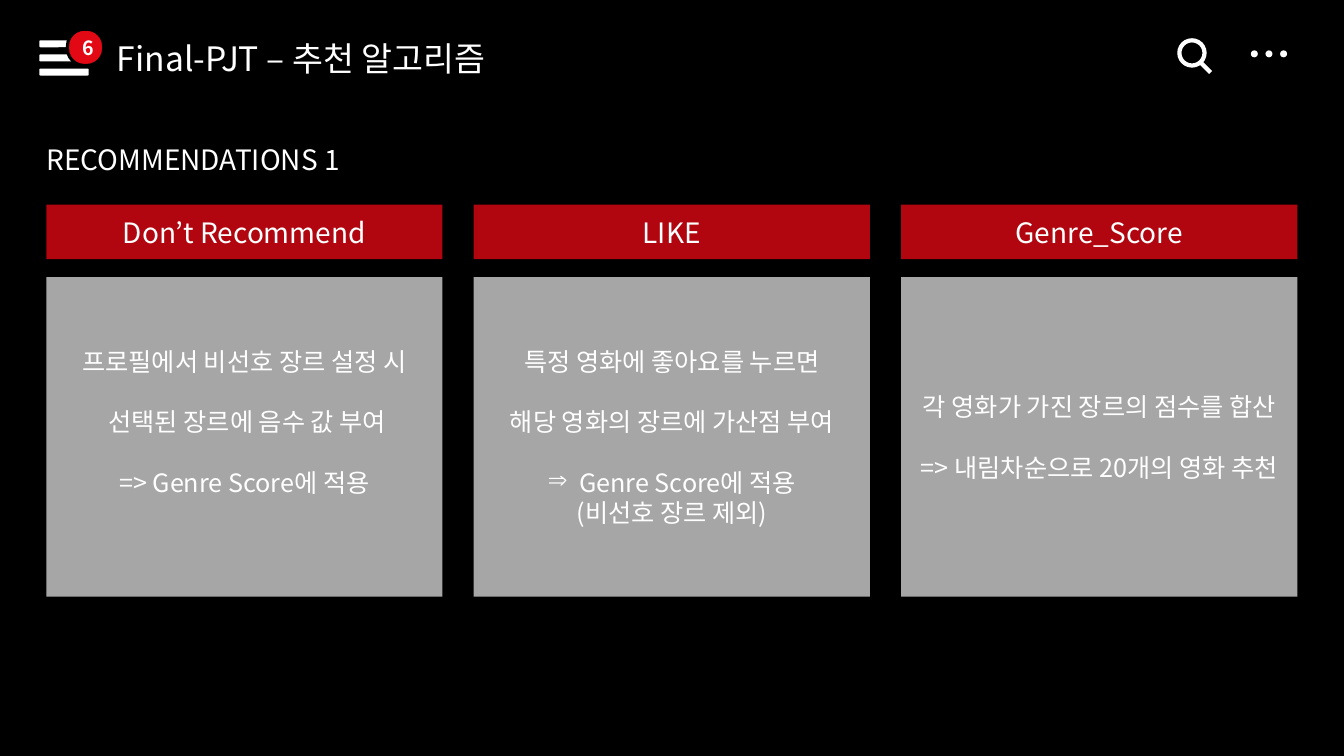
from dataclasses import dataclass

from lxml import etree
from pptx import Presentation
from pptx.dml.color import RGBColor
from pptx.enum.shapes import MSO_CONNECTOR, MSO_SHAPE
from pptx.enum.text import MSO_ANCHOR, PP_ALIGN
from pptx.oxml.ns import qn
from pptx.util import Pt

RECT = MSO_SHAPE.RECTANGLE
ROUND = MSO_SHAPE.ROUNDED_RECTANGLE
OVAL = MSO_SHAPE.OVAL
LINE = MSO_CONNECTOR.STRAIGHT
LEFT = PP_ALIGN.LEFT
CENTER = PP_ALIGN.CENTER
TOP = MSO_ANCHOR.TOP
MIDDLE = MSO_ANCHOR.MIDDLE

FONT = "Noto Sans CJK KR"
WHITE = "FFFFFF"
BLACK = "000000"
RED = "B1060F"
BADGE = "E30914"
GRAY = "A6A6A6"


@dataclass(frozen=True)
class Row:
    text: str
    gap: float = 0
    bullet: str = ""


@dataclass(frozen=True)
class Card:
    title: str
    rows: tuple[Row, ...]
    foot: float = 3.6


GAP = 21.6
INDENT = 22.5
CARDS = (
    Card("Don’t Recommend", (
        Row("프로필에서 비선호 장르 설정 시"),
        Row(" 선택된 장르에 음수 값 부여", GAP),
        Row("=> Genre Score에 적용", GAP),
    ), foot=25.2),
    Card("LIKE", (
        Row("특정 영화에 좋아요를 누르면"),
        Row("해당 영화의 장르에 가산점 부여", GAP),
        Row("Genre Score에 적용", GAP, "⇒"),
        Row("(비선호 장르 제외)"),
    )),
    Card("Genre_Score", (
        Row("각 영화가 가진 장르의 점수를 합산"),
        Row("=> 내림차순으로 20개의 영화 추천", GAP),
    )),
)


def paint(color, code: str) -> None:
    color.rgb = RGBColor.from_string(code)


def write(shape, *rows: Row, size: float, bold: bool = False, align=CENTER,
          anchor=MIDDLE, left: float = 7.2, foot: float = 3.6) -> None:
    frame = shape.text_frame
    frame.word_wrap = True
    frame.vertical_anchor = anchor
    frame.margin_left, frame.margin_bottom = Pt(left), Pt(foot)
    for i, row in enumerate(rows):
        para = frame.add_paragraph() if i else frame.paragraphs[0]
        para.alignment = align
        para.space_before = Pt(row.gap)
        if row.bullet:
            props = para._p.get_or_add_pPr()
            props.set("marL", str(Pt(INDENT)))
            props.set("indent", str(Pt(-INDENT)))
            etree.SubElement(props, qn("a:buChar")).set("char", row.bullet)
        run = para.add_run()
        run.text = row.text
        run.font.size = Pt(size)
        run.font.bold = bold
        run.font.name = FONT
        paint(run.font.color, WHITE)
        east = etree.SubElement(run._r.get_or_add_rPr(), qn("a:ea"))
        east.set("typeface", FONT)


def draw(slide, kind, x: float, y: float, w: float, h: float,
         fill: str = "", line: str = "", width: float = 0):
    shape = slide.shapes.add_shape(kind, Pt(x), Pt(y), Pt(w), Pt(h))
    shape.shadow.inherit = False
    if fill:
        shape.fill.solid()
        paint(shape.fill.fore_color, fill)
    else:
        shape.fill.background()
    if line:
        paint(shape.line.color, line)
        shape.line.width = Pt(width)
    else:
        shape.line.fill.background()
    return shape


def label(slide, text: str, x: float, y: float, w: float, h: float,
          size: float) -> None:
    box = slide.shapes.add_textbox(Pt(x), Pt(y), Pt(w), Pt(h))
    write(box, Row(text), size=size, align=LEFT, anchor=TOP, left=0)


def menu(slide) -> None:
    for i in range(3):
        draw(slide, ROUND, 28.1, 28.8 + 10.1 * i, 35.3, 5, WHITE)
    badge = draw(slide, ROUND, 48.2, 20.9, 25.9, 25.9, BADGE, BLACK, 2.25)
    badge.adjustments[0] = 0.467
    write(badge, Row("6"), size=14, bold=True)


def search(slide) -> None:
    draw(slide, OVAL, 842.4, 28.8, 18, 18, line=WHITE, width=3)
    stem = slide.shapes.add_connector(LINE, Pt(857.5), Pt(44.6),
                                      Pt(864.7), Pt(51.8))
    paint(stem.line.color, WHITE)
    stem.line.width = Pt(3)
    etree.SubElement(stem._element.spPr, qn("a:effectLst"))


def dots(slide) -> None:
    for i in range(3):
        draw(slide, OVAL, 893.5 + 10.45 * i, 36, 5, 5, WHITE)


def panel(slide, card: Card, x: float) -> None:
    head = draw(slide, RECT, x, 146.2, 283, 38.9, RED)
    write(head, Row(card.title), size=20)
    body = draw(slide, RECT, x, 198, 283, 228.2, GRAY)
    write(body, *card.rows, size=18, foot=card.foot)


def main() -> None:
    deck = Presentation()
    deck.slide_width, deck.slide_height = Pt(960), Pt(540)
    slide = deck.slides.add_slide(deck.slide_layouts[6])
    slide.background.fill.solid()
    paint(slide.background.fill.fore_color, BLACK)
    menu(slide)
    label(slide, "Final-PJT – 추천 알고리즘", 83.5, 23.8, 388.8, 36, 24)
    search(slide)
    dots(slide)
    label(slide, "RECOMMENDATIONS 1", 33.1, 97.9, 383.8, 31.7, 20)
    for i, card in enumerate(CARDS):
        panel(slide, card, 33.1 + 305.3 * i)
    deck.save("out.pptx")


if __name__ == "__main__":
    main()
